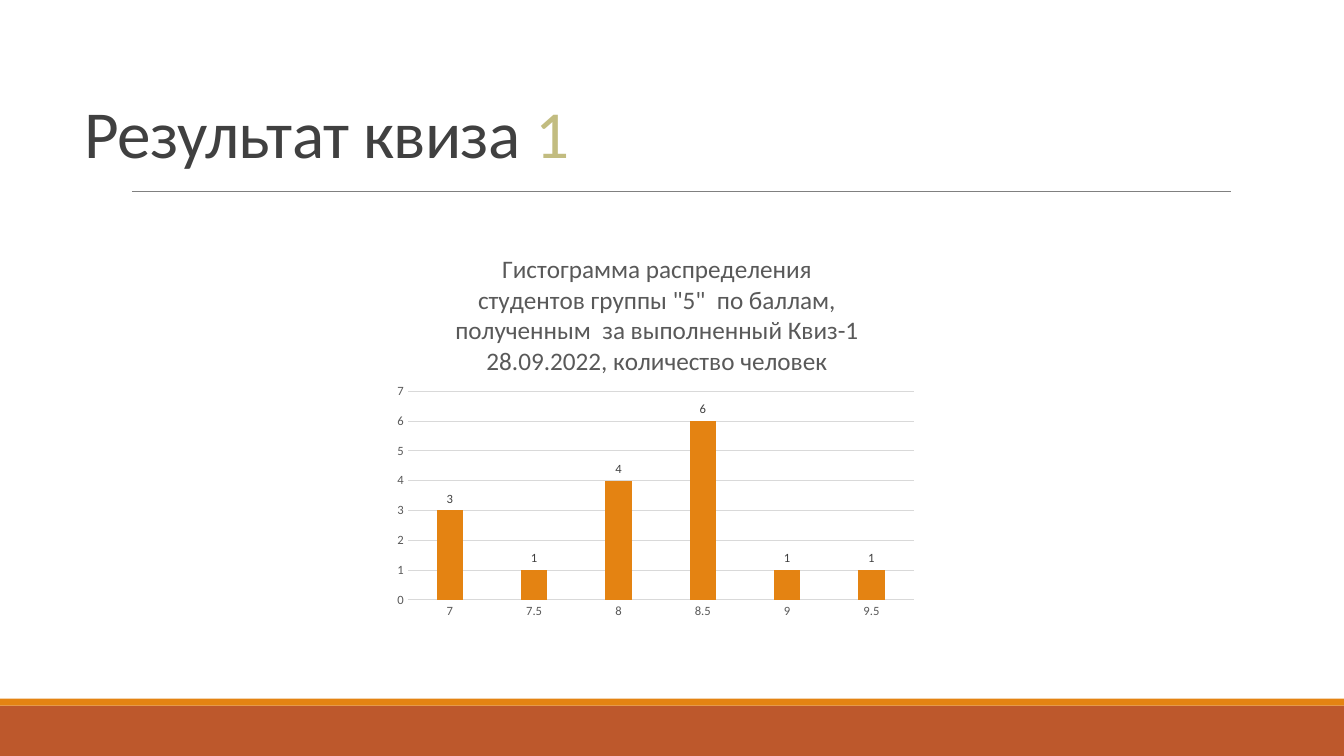
"""Build the slide with the histogram of quiz 1 scores."""
from lxml.etree import fromstring
from pptx import Presentation
from pptx.chart.data import CategoryChartData
from pptx.dml.color import RGBColor
from pptx.enum.chart import XL_CHART_TYPE, XL_LABEL_POSITION, XL_TICK_MARK
from pptx.enum.shapes import MSO_CONNECTOR, MSO_SHAPE
from pptx.enum.text import MSO_ANCHOR, MSO_AUTO_SIZE, PP_ALIGN
from pptx.oxml.ns import nsdecls, qn
from pptx.util import Pt

FONT = "Calibri"
RUST = RGBColor(0xBD, 0x58, 0x2C)
ORANGE = RGBColor(0xE4, 0x83, 0x12)
DARK = RGBColor(0x40, 0x40, 0x40)
OLIVE = RGBColor(0xC2, 0xBC, 0x80)
GRAY = RGBColor(0x80, 0x80, 0x80)
TEXT = RGBColor(0x59, 0x59, 0x59)
GRID = RGBColor(0xD9, 0xD9, 0xD9)


def style(font, size, color):
    font.name, font.size, font.bold = FONT, Pt(size), False
    font.color.rgb = color


def layout(x, y, extra=""):
    return fromstring(
        f'<c:layout {nsdecls("c")}><c:manualLayout>{extra}'
        '<c:xMode val="edge"/><c:yMode val="edge"/>'
        f'<c:x val="{x}"/><c:y val="{y}"/></c:manualLayout></c:layout>')


deck = Presentation()
deck.slide_width, deck.slide_height = Pt(960), Pt(540)
slide = deck.slides.add_slide(deck.slide_layouts[5])
shapes = slide.shapes

for top, height, color in ((504, 36, RUST), (499, 5, ORANGE)):
    band = shapes.add_shape(MSO_SHAPE.RECTANGLE, 0, Pt(top), Pt(960), Pt(height))
    band.shadow.inherit = False
    band.fill.solid()
    band.fill.fore_color.rgb = color
    band.line.fill.background()

rule = shapes.add_connector(MSO_CONNECTOR.STRAIGHT, Pt(94.3), Pt(136.6), Pt(879), Pt(136.6))
rule.line.color.rgb = GRAY
rule.line.width = Pt(0.5)
rule._element.spPr.append(fromstring(f'<a:effectLst {nsdecls("a")}/>'))

title = shapes.title
title.left, title.top, title.width, title.height = Pt(53.3), Pt(23), Pt(885), Pt(103.7)
frame = title.text_frame
frame.word_wrap = True
frame.auto_size = MSO_AUTO_SIZE.NONE
frame.vertical_anchor = MSO_ANCHOR.BOTTOM
head = frame.paragraphs[0]
head.alignment = PP_ALIGN.LEFT
head.line_spacing = 0.85
for text, color in (("Результат квиза ", DARK), ("1", OLIVE)):
    run = head.add_run()
    run.text = text
    style(run.font, 48, color)
    run.font._element.set("spc", "-50")

data = CategoryChartData()
data.categories = ["7", "7.5", "8", "8.5", "9", "9.5"]
data.add_series("Series 1", (3, 1, 4, 6, 1, 1))
chart = shapes.add_chart(XL_CHART_TYPE.COLUMN_CLUSTERED, Pt(275.8), Pt(162),
                         Pt(384.5), Pt(286.6), data).chart
style(chart.font, 10, RGBColor(0, 0, 0))
chart.has_legend = False

chart.has_title = True
name = chart.chart_title.text_frame.paragraphs[0]
name.text = ('Гистограмма распределения студентов группы "5"  по баллам, '
             'полученным  за выполненный Квиз-1 28.09.2022, количество человек')
style(name.font, 18, TEXT)
chart.chart_title.include_in_layout = False
caption = chart.chart_title._element
for old in caption.findall(qn("c:layout")):
    caption.remove(old)
caption.find(qn("c:tx")).addnext(layout(0.12, 0.05))

plot = chart.plots[0]
plot.gap_width, plot.overlap = 219, -27
plot.vary_by_categories = False
area = plot._element.getparent()
for old in area.findall(qn("c:layout")):
    area.remove(old)
inner = layout(0.04, 0.41, '<c:layoutTarget val="inner"/>')
for side, part in (("w", 0.94), ("h", 0.52)):
    inner[0].append(fromstring(f'<c:{side} {nsdecls("c")} val="{part}"/>'))
area.insert(0, inner)

bars = plot.series[0]
bars.format.fill.solid()
bars.format.fill.fore_color.rgb = ORANGE
bars.invert_if_negative = False
labels = bars.data_labels
labels.show_value = True
labels.position = XL_LABEL_POSITION.OUTSIDE_END
style(labels.font, 9, DARK)

cats, vals = chart.category_axis, chart.value_axis
for axis in (cats, vals):
    axis.major_tick_mark = axis.minor_tick_mark = XL_TICK_MARK.NONE
    style(axis.tick_labels.font, 9, TEXT)
vals.minimum_scale, vals.maximum_scale, vals.major_unit = 0, 7, 1
vals.format.line.fill.background()
vals.has_major_gridlines = True
for line in (cats.format.line, vals.major_gridlines.format.line):
    line.color.rgb = GRID
    line.width = Pt(0.75)

deck.save("out.pptx")
